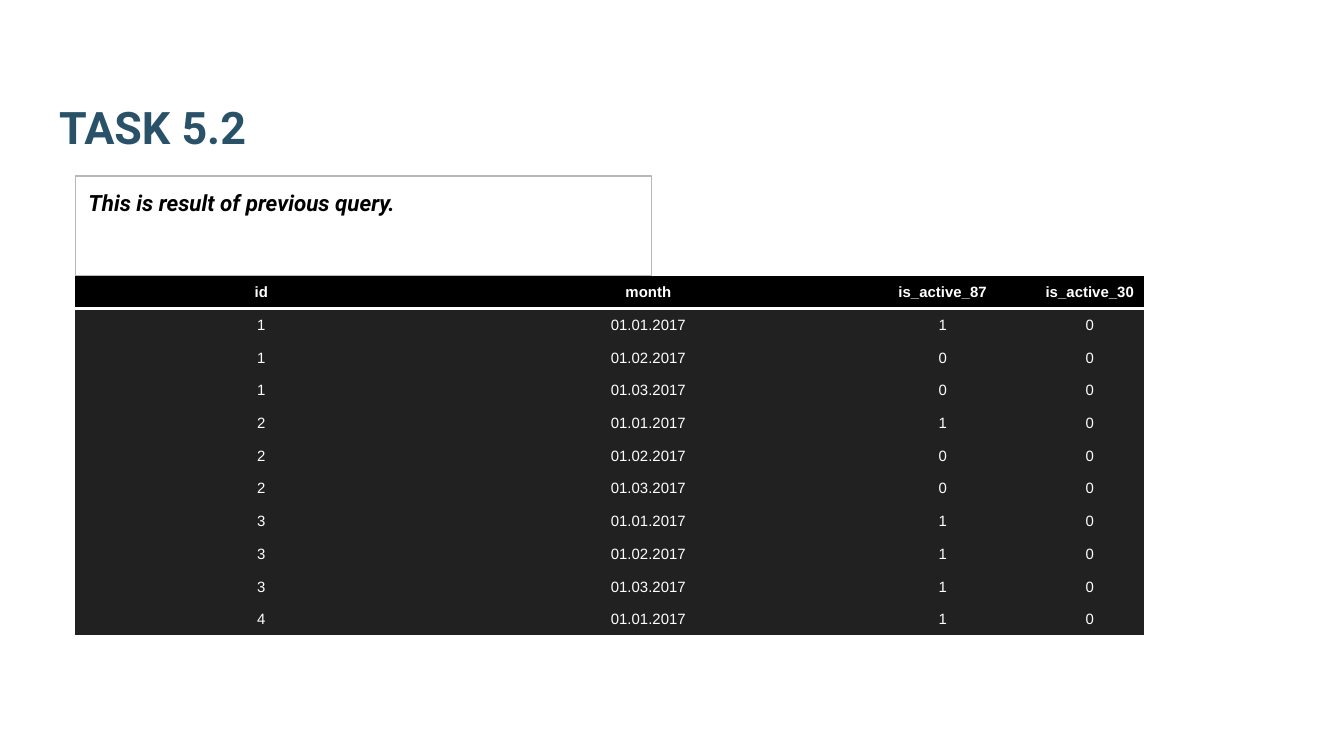
from pptx import Presentation
from pptx.dml.color import RGBColor
from pptx.enum.shapes import MSO_SHAPE
from pptx.enum.text import MSO_ANCHOR, PP_ALIGN
from pptx.oxml import parse_xml
from pptx.oxml.ns import nsdecls, qn
from pptx.util import Inches, Pt

COLORS = {
    "title": "295269",
    "text": "000000",
    "frame": "B7B7B7",
    "header": "000000",
    "row": "212121",
    "light": "FFFFFF",
}
PLAIN_TABLE_STYLE = "{2D5ABB26-0587-4C30-8999-92F81FD0307C}"
LEFT = 0.56
TABLE_TOP, TABLE_HEIGHT = 2.05, 2.68
NOTE_HEIGHT = 0.74
COLUMN_WIDTHS = [2.77, 2.99, 1.39, 0.8]
HEADERS = ["id", "month", "is_active_87", "is_active_30"]
MONTHS = ["01.01.2017", "01.02.2017", "01.03.2017"]
ACTIVE_87 = [1, 0, 0, 1, 0, 0, 1, 1, 1, 1]


def rgb(name):
    return RGBColor.from_string(COLORS[name])


def activity_rows():
    """Each id runs through the three months; nobody is active in is_active_30."""
    return [
        [str(i // len(MONTHS) + 1), MONTHS[i % len(MONTHS)], str(active), "0"]
        for i, active in enumerate(ACTIVE_87)
    ]


def style_text(frame, font, size, color, bold=False, italic=False, align=PP_ALIGN.LEFT):
    for paragraph in frame.paragraphs:
        paragraph.alignment = align
        for run in paragraph.runs:
            run.font.name = font
            run.font.size = Pt(size)
            run.font.bold = bold
            run.font.italic = italic
            run.font.color.rgb = rgb(color)


def set_insets(frame, inset):
    frame.margin_left = frame.margin_right = Inches(inset)
    frame.margin_top = frame.margin_bottom = Inches(inset)
    frame.word_wrap = True


def add_title(slide, text):
    title = slide.shapes.title
    title.left, title.top = Inches(0.34), Inches(0.32)
    title.width, title.height = Inches(9.32), Inches(0.92)
    frame = title.text_frame
    frame.text = text
    frame.vertical_anchor = MSO_ANCHOR.BOTTOM
    set_insets(frame, 0.1)
    style_text(frame, "Roboto", 24, "title", bold=True)


def add_note(slide, text):
    """Add the framed remark that stands on the table's top edge."""
    note = slide.shapes.add_shape(
        MSO_SHAPE.RECTANGLE, Inches(LEFT), Inches(TABLE_TOP - NOTE_HEIGHT),
        Inches(4.29), Inches(NOTE_HEIGHT),
    )
    note.shadow.inherit = False
    note.fill.background()
    note.line.color.rgb = rgb("frame")
    note.line.width = Pt(0.75)
    frame = note.text_frame
    frame.text = text
    frame.vertical_anchor = MSO_ANCHOR.TOP
    set_insets(frame, 0.1)
    style_text(frame, "Roboto", 12, "text", bold=True, italic=True)


def add_bottom_border(cell, color, points):
    border = parse_xml(
        f'<a:lnB {nsdecls("a")} w="{Pt(points)}"><a:solidFill>'
        f'<a:srgbClr val="{COLORS[color]}"/></a:solidFill></a:lnB>'
    )
    # Borders must come before the fill in the cell properties
    cell._tc.get_or_add_tcPr().insert(0, border)


def fill_cell(cell, text, is_header):
    cell.text = text
    cell.vertical_anchor = MSO_ANCHOR.MIDDLE
    cell.margin_left = cell.margin_right = cell.margin_top = Inches(0.01)
    cell.margin_bottom = 0
    cell.fill.solid()
    cell.fill.fore_color.rgb = rgb("header" if is_header else "row")
    style_text(cell.text_frame, "Arial", 8, "light", bold=is_header, align=PP_ALIGN.CENTER)
    if is_header:
        add_bottom_border(cell, "light", 2)


def add_activity_table(slide, rows):
    table = slide.shapes.add_table(
        len(rows), len(COLUMN_WIDTHS), Inches(LEFT), Inches(TABLE_TOP),
        Inches(sum(COLUMN_WIDTHS)), Inches(TABLE_HEIGHT),
    ).table
    table.horz_banding = False
    table._tbl.tblPr.find(qn("a:tableStyleId")).text = PLAIN_TABLE_STYLE
    for column, width in zip(table.columns, COLUMN_WIDTHS):
        column.width = Inches(width)
    for r, values in enumerate(rows):
        for c, value in enumerate(values):
            fill_cell(table.cell(r, c), value, is_header=r == 0)


def main():
    deck = Presentation()
    deck.slide_width = Inches(10)
    deck.slide_height = deck.slide_width * 9 // 16
    slide = deck.slides.add_slide(deck.slide_layouts.get_by_name("Title Only"))
    add_title(slide, "TASK 5.2")
    add_activity_table(slide, [HEADERS] + activity_rows())
    add_note(slide, "This is result of previous query.")
    deck.save("out.pptx")


if __name__ == "__main__":
    main()
